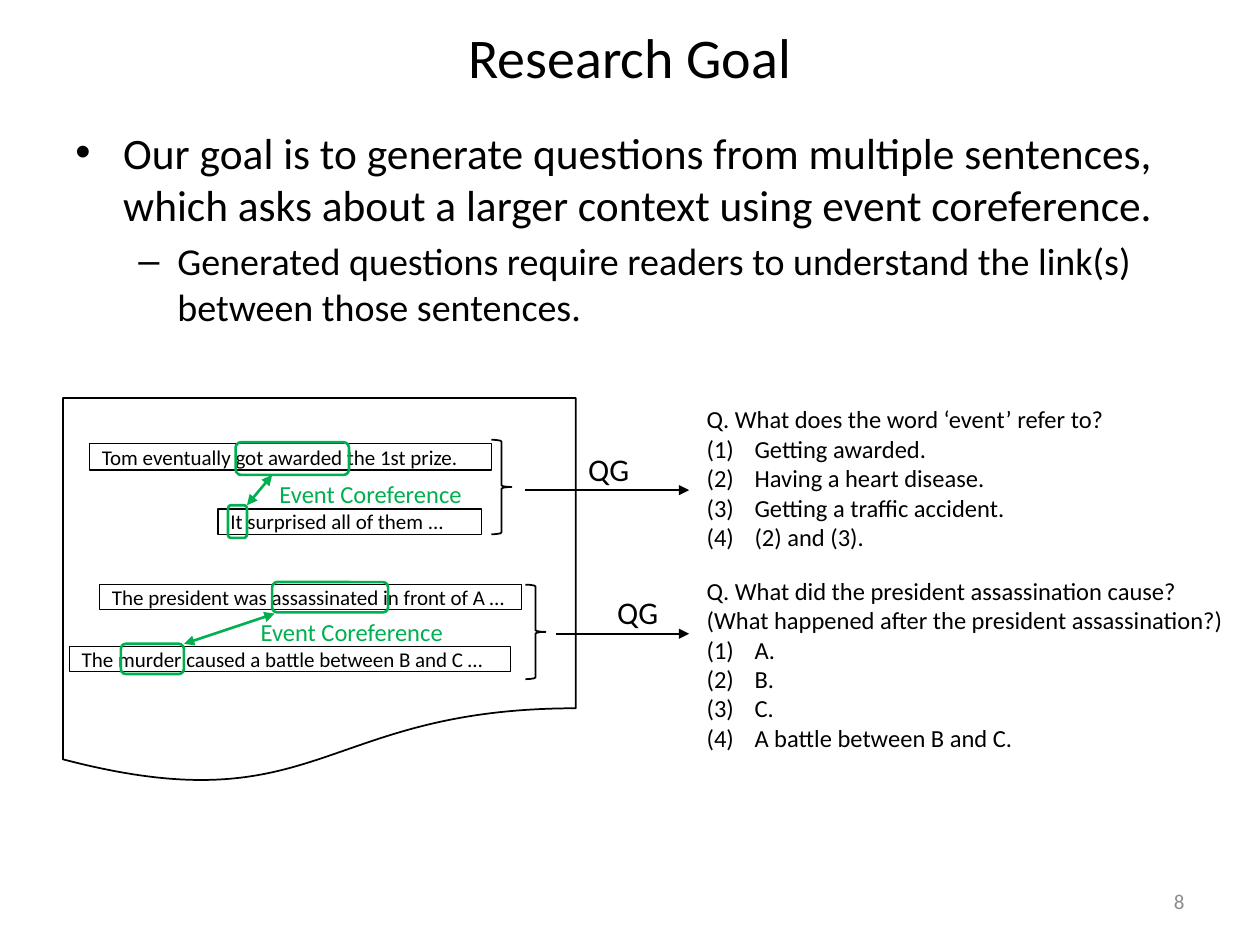
from lxml.etree import SubElement
from pptx import Presentation
from pptx.dml.color import RGBColor
from pptx.enum.shapes import MSO_CONNECTOR as Link, MSO_SHAPE as Kind
from pptx.enum.text import MSO_ANCHOR as Anchor, MSO_AUTO_SIZE as Fit, PP_ALIGN as Align
from pptx.oxml.ns import qn
from pptx.util import Inches, Pt

BLACK = RGBColor(0x00, 0x00, 0x00)
GREEN = RGBColor(0x00, 0xB0, 0x50)
GRAY = RGBColor(0x8C, 0x8C, 0x8C)
FONT = "Calibri"
AUTO = "auto"


def apply(obj, **vals):
    for key, val in vals.items():
        setattr(obj, key, val)


def put_text(para, text, size, color=BLACK, align=Align.LEFT):
    para.alignment = align
    run = para.add_run()
    run.text = text
    apply(run.font, name=FONT, size=Pt(size))
    run.font.color.rgb = color


def bullet(para, mark, left, hang):
    props = para._p.get_or_add_pPr()
    props.set("marL", str(Inches(left)))
    props.set("indent", str(-Inches(hang)))
    if mark == AUTO:
        SubElement(props, qn("a:buFont"), typeface="+mj-lt")
        SubElement(props, qn("a:buAutoNum"), type="arabicParenBoth")
    else:
        SubElement(props, qn("a:buFont"), typeface="Arial")
        SubElement(props, qn("a:buChar"), char=mark)


def text_box(slide, box, wrap=True, **vals):
    frame = slide.shapes.add_textbox(*map(Inches, box)).text_frame
    apply(frame, word_wrap=wrap, **vals)
    return frame


def label(slide, box, text, size, color=BLACK):
    frame = text_box(slide, box, False, auto_size=Fit.SHAPE_TO_FIT_TEXT)
    put_text(frame.paragraphs[0], text, size, color)


def outline(slide, kind, box, color=BLACK, width=1.0):
    shape = slide.shapes.add_shape(kind, *map(Inches, box))
    shape.shadow.inherit = False
    shape.fill.background()
    shape.line.color.rgb = color
    shape.line.width = Pt(width)
    return shape


def sentence(slide, box, text):
    frame = outline(slide, Kind.FLOWCHART_PROCESS, box, width=0.75).text_frame
    apply(frame, word_wrap=True, vertical_anchor=Anchor.MIDDLE)
    put_text(frame.paragraphs[0], text, 12)


def event(slide, box):
    outline(slide, Kind.FLOWCHART_ALTERNATE_PROCESS, box, GREEN, 1.5)


def arrow(slide, ends, color=BLACK, width=1.0, both=False):
    line = slide.shapes.add_connector(Link.STRAIGHT, *map(Inches, ends))
    line.line.color.rgb = color
    line.line.width = Pt(width)
    ln = line.line._get_or_add_ln()
    for tag in ("a:headEnd", "a:tailEnd") if both else ("a:tailEnd",):
        SubElement(ln, qn(tag), type="triangle")
    SubElement(line._element.spPr, qn("a:effectLst"))


def quiz(slide, box, asks, picks, wrap):
    frame = text_box(slide, box, wrap, auto_size=Fit.SHAPE_TO_FIT_TEXT)
    for i, text in enumerate(asks + picks):
        para = frame.add_paragraph() if i else frame.paragraphs[0]
        put_text(para, text, 14)
        if i >= len(asks):
            bullet(para, AUTO, 0.38, 0.38)


def heading(slide):
    title = slide.shapes.title
    apply(title, left=Inches(0.5), top=Inches(0.05),
          width=Inches(9), height=Inches(0.79))
    title.text_frame.vertical_anchor = Anchor.MIDDLE
    put_text(title.text_frame.paragraphs[0], "Research Goal", 32, align=Align.CENTER)


def goals(slide):
    frame = text_box(slide, (0.5, 0.95, 9, 1.46))
    rows = (
        ("Our goal is to generate questions from multiple sentences, which asks "
         "about a larger context using event coreference.", 24.8, "•", 0.38, 0.38),
        ("Generated questions require readers to understand the link(s) between "
         "those sentences.", 21.7, "–", 0.81, 0.31),
    )
    for i, (text, size, mark, left, hang) in enumerate(rows):
        para = frame.add_paragraph() if i else frame.paragraphs[0]
        put_text(para, text, size)
        para.space_before = Pt(size * 0.2)
        para.level = i
        bullet(para, mark, left, hang)


def case(slide, lines, events, link, name, brace, flow, tag):
    """One pair of linked sentences with its arrow to the questions."""
    for box, text in lines:
        sentence(slide, box, text)
    for box in events:
        event(slide, box)
    arrow(slide, link, GREEN, 1.5, both=True)
    label(slide, (*name, 1.66, 0.34), "Event Coreference", 14, GREEN)
    outline(slide, Kind.RIGHT_BRACE, (*brace, 0.16, 0.75))
    start, y = flow
    arrow(slide, (start, y, 5.47, y))
    label(slide, (*tag, 0.53, 0.4), "QG", 18)


def main():
    deck = Presentation()
    apply(deck, slide_width=Inches(10), slide_height=Inches(7.5))
    slide = deck.slides.add_slide(deck.slide_layouts[5])

    # Title, goals and page number
    goals(slide)
    heading(slide)
    page = text_box(slide, (7.17, 6.95, 2.33, 0.4), vertical_anchor=Anchor.MIDDLE)
    put_text(page.paragraphs[0], "8", 12, GRAY, Align.RIGHT)

    # Source document with two linked pairs
    outline(slide, Kind.FLOWCHART_DOCUMENT, (0.5, 3.16, 4.07, 3.07))
    case(slide,
         (((0.71, 3.52, 3.19, 0.21), "Tom eventually got awarded the 1st prize."),
          ((1.73, 4.04, 2.09, 0.2), "It surprised all of them ...")),
         ((1.87, 3.51, 0.9, 0.26), (1.81, 4.01, 0.15, 0.26)),
         link=(1.96, 4.01, 2.16, 3.77), name=(2.12, 3.75),
         brace=(3.9, 3.49), flow=(4.17, 3.89), tag=(4.57, 3.52))
    case(slide,
         (((0.79, 4.64, 3.35, 0.2), "The president was assassinated in front of A …"),
          ((0.55, 5.13, 3.5, 0.2), "The murder caused a battle between B and C …")),
         ((0.96, 5.11, 0.5, 0.24), (2.16, 4.62, 0.92, 0.24)),
         link=(1.46, 5.11, 2.18, 4.87), name=(1.97, 4.85),
         brace=(4.17, 4.64), flow=(4.41, 5.03), tag=(4.8, 4.66))

    # Generated questions
    quiz(slide, (5.51, 3.16, 3.38, 1.28),
         ["Q. What does the word ‘event’ refer to?"],
         ["Getting awarded.", "Having a heart disease.",
          "Getting a traffic accident.", "(2) and (3)."], wrap=False)
    quiz(slide, (5.51, 4.52, 4.49, 1.51),
         ["Q. What did the president assassination cause?",
          "(What happened after the president assassination?)"],
         ["A.", "B.", "C.", "A battle between B and C."], wrap=True)

    deck.save("out.pptx")


main()
